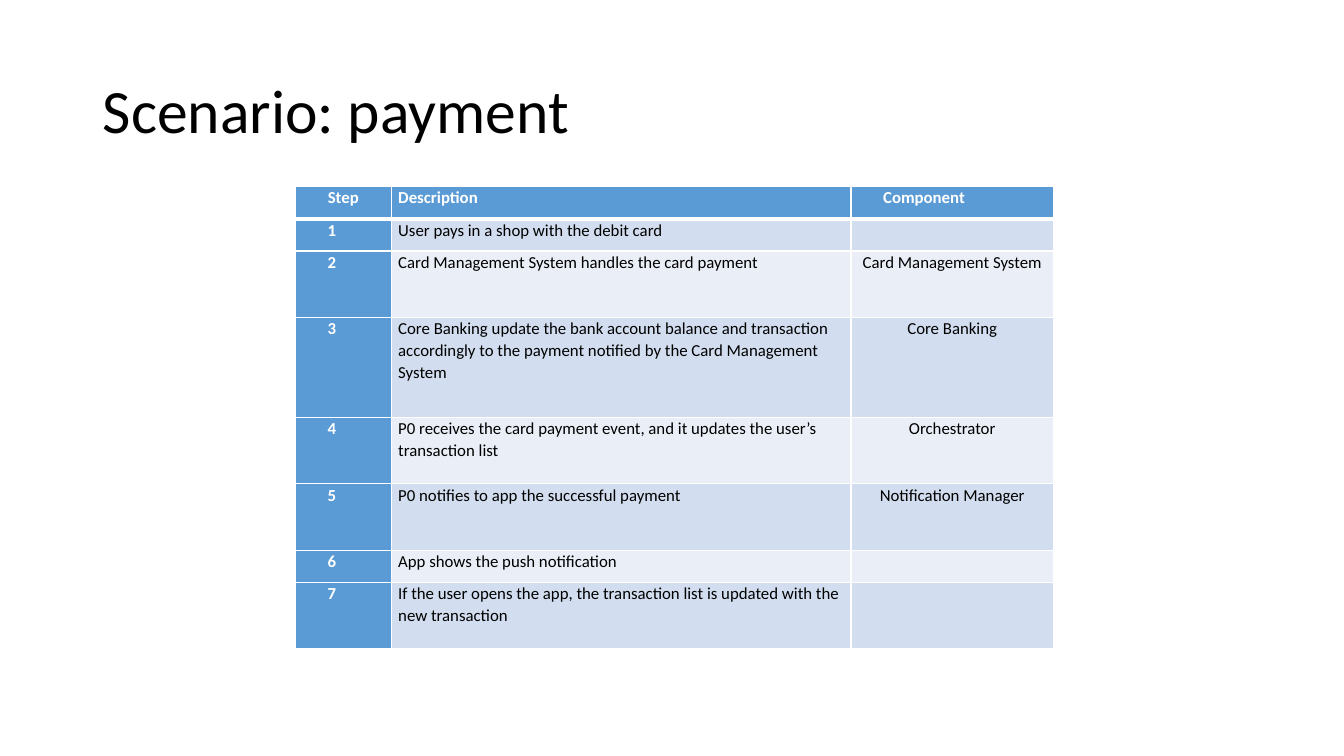
"""Build the payment scenario slide with its table of steps."""
from lxml import etree
from pptx import Presentation
from pptx.dml.color import RGBColor
from pptx.enum.text import MSO_ANCHOR, MSO_AUTO_SIZE, PP_ALIGN
from pptx.oxml.ns import qn
from pptx.util import Inches, Pt

BLACK = RGBColor(0x00, 0x00, 0x00)
WHITE = RGBColor(0xFF, 0xFF, 0xFF)
BLUE = RGBColor(0x5B, 0x9B, 0xD5)
BAND_DARK = RGBColor(0xD2, 0xDE, 0xEF)
BAND_LIGHT = RGBColor(0xEA, 0xEF, 0xF7)

COLUMN_WIDTHS = [0.95, 4.56, 2.01]
STEPS = [
    (0.32, "Step", "Description", "Component"),
    (0.32, "1", "User pays in a shop with the debit card", ""),
    (0.66, "2", "Card Management System handles the card payment", "Card Management System"),
    (0.99, "3", "Core Banking update the bank account balance and transaction accordingly "
     "to the payment notified by the Card Management System", "Core Banking"),
    (0.66, "4", "P0 receives the card payment event, and it updates the user’s transaction list",
     "Orchestrator"),
    (0.66, "5", "P0 notifies to app the successful payment", "Notification Manager"),
    (0.32, "6", "App shows the push notification", ""),
    (0.66, "7", "If the user opens the app, the transaction list is updated with the new transaction",
     ""),
]


def add_run(paragraph, text, size, color, bold=False):
    run = paragraph.add_run()
    run.text = text
    run.font.name = "Calibri"
    run.font.size = Pt(size)
    run.font.bold = bold
    run.font.color.rgb = color


def add_borders(cell, widths):
    properties = cell._tc.get_or_add_tcPr()
    for position, (side, width) in enumerate(widths.items()):
        line = etree.Element(qn(f"a:ln{side}"), w=str(Pt(width)))
        fill = etree.SubElement(line, qn("a:solidFill"))
        etree.SubElement(fill, qn("a:srgbClr"), val=str(WHITE))
        properties.insert(position, line)


prs = Presentation()
prs.slide_width = Inches(13.33)
prs.slide_height = Inches(7.5)
slide = prs.slides.add_slide(prs.slide_layouts[5])

title = slide.shapes.title
title.left, title.top = Inches(0.92), Inches(0.4)
title.width, title.height = Inches(11.5), Inches(1.45)
title.text_frame.auto_size = MSO_AUTO_SIZE.NONE
title.text_frame.vertical_anchor = MSO_ANCHOR.MIDDLE
heading = title.text_frame.paragraphs[0]
heading.alignment = PP_ALIGN.LEFT
heading.line_spacing = 0.9
add_run(heading, "Scenario: payment", 44, BLACK)

steps_table = slide.shapes.add_table(
    len(STEPS), len(COLUMN_WIDTHS), Inches(2.93), Inches(1.85),
    Inches(sum(COLUMN_WIDTHS)), Inches(sum(step[0] for step in STEPS))).table
steps_table.first_col = True
for column, width in zip(steps_table.columns, COLUMN_WIDTHS):
    column.width = Inches(width)

for row, (height, *texts) in enumerate(STEPS):
    steps_table.rows[row].height = Inches(height)
    for col, text in enumerate(texts):
        cell = steps_table.cell(row, col)
        cell.margin_left = cell.margin_right = Inches(0.07)
        cell.margin_top = cell.margin_bottom = 0
        is_header = row == 0 or col == 0
        cell.fill.solid()
        cell.fill.fore_color.rgb = BLUE if is_header else BAND_DARK if row % 2 else BAND_LIGHT
        add_borders(cell, {"L": 1, "R": 1, "T": 3 if row == 1 else 1, "B": 3 if row == 0 else 1})
        if not text:
            continue
        paragraph = cell.text_frame.paragraphs[0]
        paragraph.line_spacing = 1.07
        if col == 1:
            paragraph.alignment = PP_ALIGN.LEFT
        elif (row == 0) == (col == 0):
            paragraph.alignment = PP_ALIGN.CENTER
        else:
            paragraph.alignment = PP_ALIGN.JUSTIFY
            paragraph._p.get_or_add_pPr().set("marL", str(Inches(0.25)))
        add_run(paragraph, text, 12, WHITE if is_header else BLACK, is_header)

prs.save("out.pptx")
